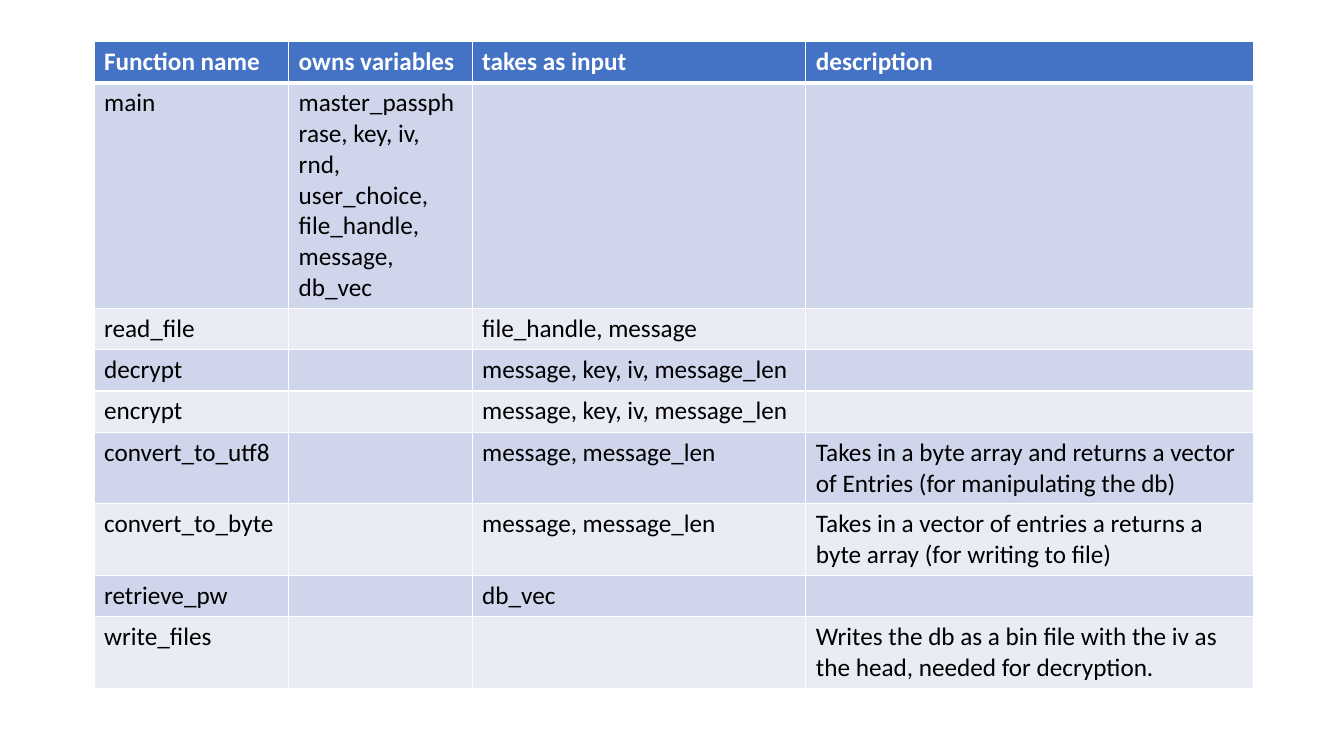
"""Build a slide with a table of functions, their variables and inputs."""
from dataclasses import dataclass

from lxml.etree import SubElement as Sub
from pptx import Presentation as Deck
from pptx.dml.color import RGBColor as Color
from pptx.oxml.ns import qn
from pptx.util import Inches, Pt


@dataclass(frozen=True)
class Theme:
    """Hold the colours, font and sizes of the slide."""
    font: str = "Calibri"
    size: int = 18
    head: str = "4472C4"
    bands: tuple = ("CFD5EA", "E9EBF5")
    light: str = "FFFFFF"
    dark: str = "000000"
    thin: int = 1
    thick: int = 3


LOOK = Theme()
WIDE, HIGH = 13.33, 7.5
LEFT, TOP = 0.07 * WIDE, 0.055 * HIGH
COLS = (1.93, 1.82, 3.31, 4.44)
ROW = 0.41
INPUT = "message, key, iv, message_len"
TEXT = "message, message_len"
OWNED = ("master_passphrase, key, iv, rnd, user_choice, "
         "file_handle, message, db_vec")
ROWS = (
    ("Function name", "owns variables", "takes as input", "description"),
    ("main", OWNED, "", ""),
    ("read_file", "", "file_handle, message", ""),
    ("decrypt", "", INPUT, ""),
    ("encrypt", "", INPUT, ""),
    ("convert_to_utf8", "", TEXT, "Takes in a byte array and returns "
     "a vector of Entries (for manipulating the db)"),
    ("convert_to_byte", "", TEXT, "Takes in a vector of entries a returns "
     "a byte array (for writing to file)"),
    ("retrieve_pw", "", "db_vec", ""),
    ("write_files", "", "", "Writes the db as a bin file with the iv as "
     "the head, needed for decryption."),
)


def add_edges(cell, row):
    """Draw the cell borders, thick between the header and the body."""
    props = cell._tc.get_or_add_tcPr()
    heavy = {(0, "B"), (1, "T")}
    for side in "LRTB":
        width = LOOK.thick if (row, side) in heavy else LOOK.thin
        line = Sub(props, qn(f"a:ln{side}"), w=str(Pt(width)))
        Sub(Sub(line, qn("a:solidFill")), qn("a:srgbClr"), val=LOOK.light)


def fill_cell(cell, text, row):
    """Set the text, borders and fill of one cell."""
    head = row == 0
    add_edges(cell, row)
    cell.fill.solid()
    shade = LOOK.head if head else LOOK.bands[(row - 1) % 2]
    cell.fill.fore_color.rgb = Color.from_string(shade)
    cell.text_frame.text = text
    font = cell.text_frame.paragraphs[0].font
    for run in cell.text_frame.paragraphs[0].runs:
        font = run.font
    font.name, font.size, font.bold = LOOK.font, Pt(LOOK.size), head
    font.color.rgb = Color.from_string(LOOK.light if head else LOOK.dark)


def add_grid(slide):
    """Place the table and fill every cell."""
    box = (LEFT, TOP, sum(COLS), ROW * len(ROWS))
    grid = slide.shapes.add_table(len(ROWS), len(COLS),
                                  *map(Inches, box)).table
    for col, width in zip(grid.columns, COLS):
        col.width = Inches(width)
    for row, texts in enumerate(ROWS):
        grid.rows[row].height = Inches(ROW)
        for col, text in enumerate(texts):
            fill_cell(grid.cell(row, col), text, row)


def main():
    """Build the deck and save it."""
    deck = Deck()
    deck.slide_width, deck.slide_height = Inches(WIDE), Inches(HIGH)
    add_grid(deck.slides.add_slide(deck.slide_layouts[6]))
    deck.save("out.pptx")


main()
